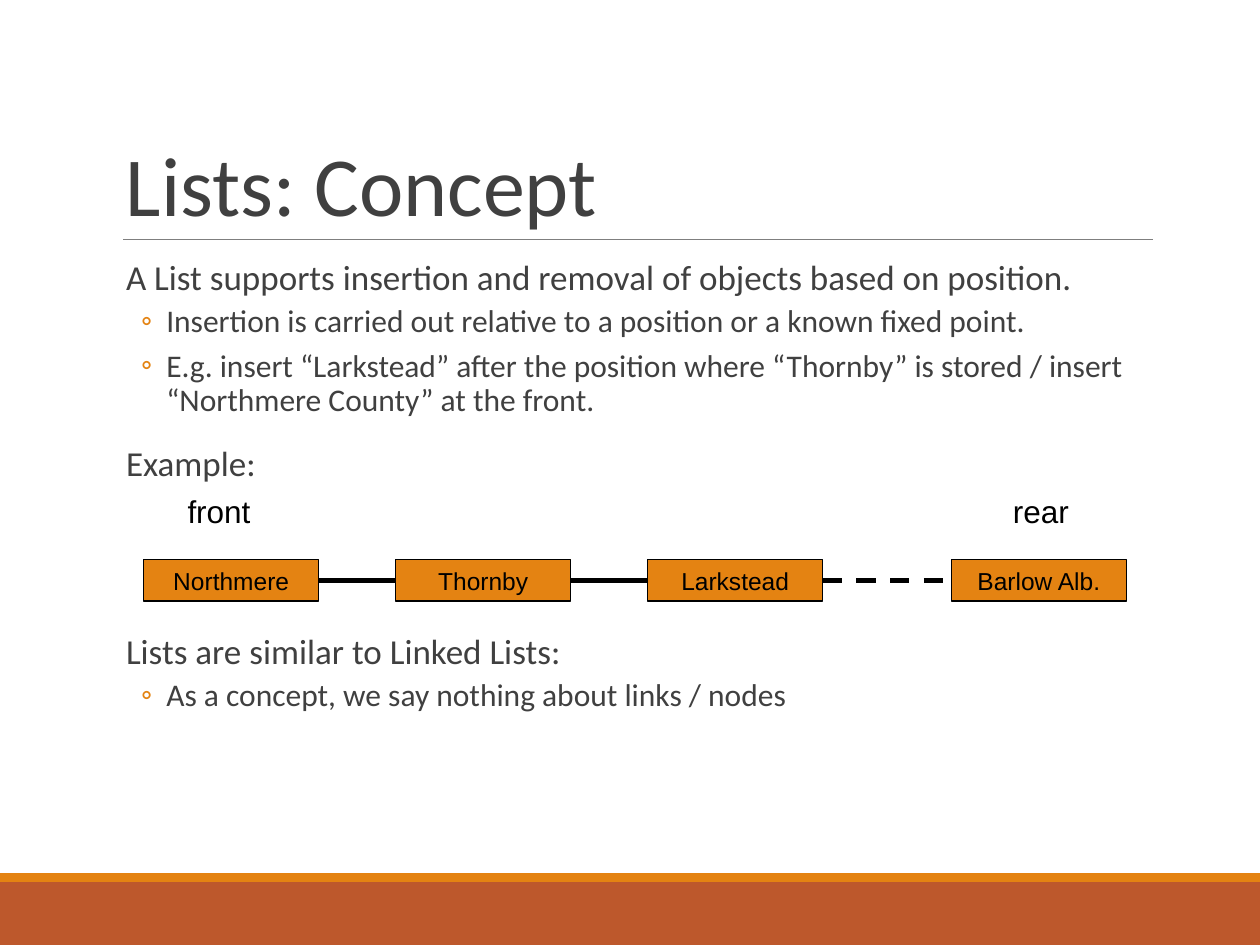
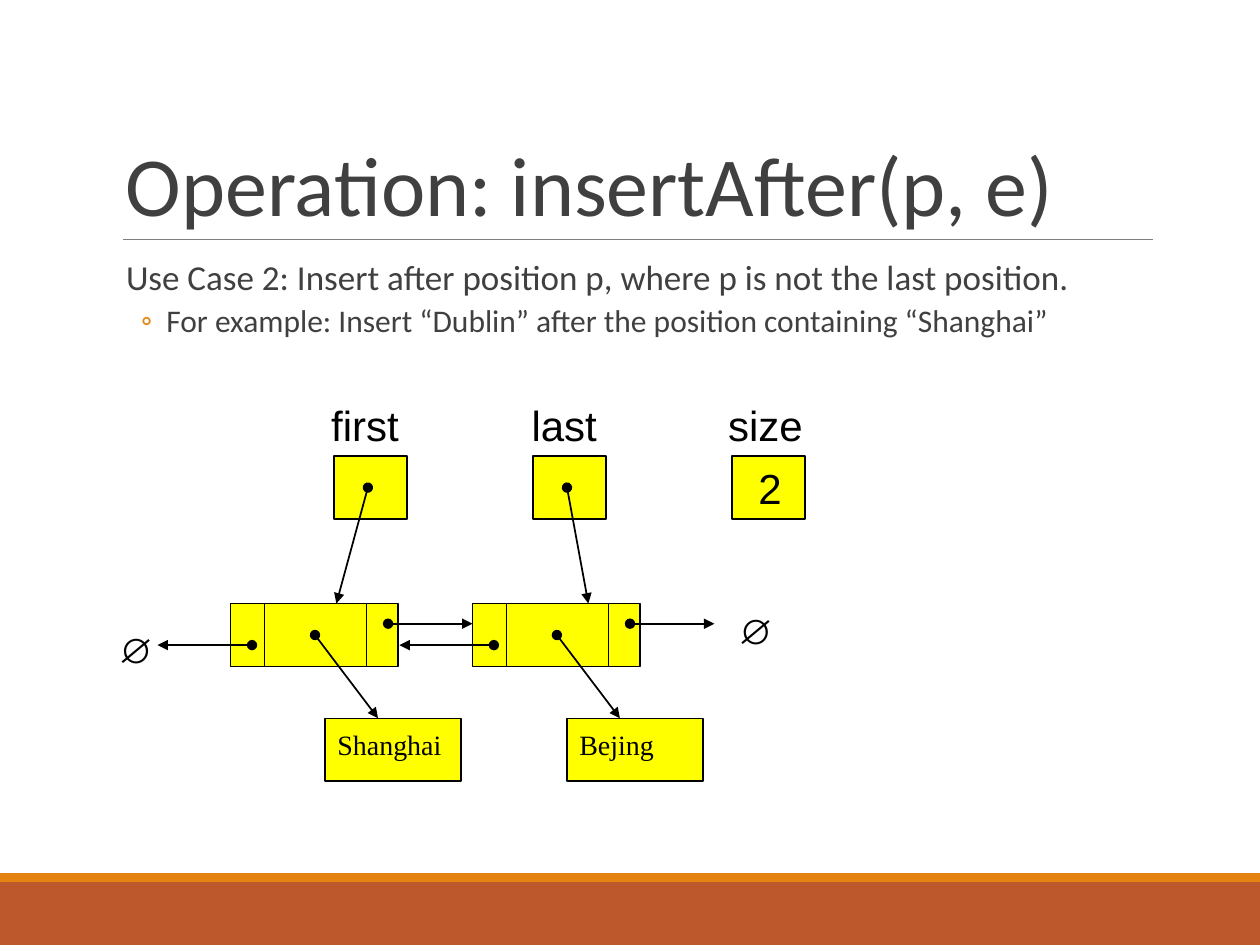
import pptx
import pptx.util
import pptx.dml.color
import pptx.enum.dml
import pptx.enum.shapes
import pptx.enum.text
import pptx.oxml
import pptx.oxml.ns

Inches, Pt = pptx.util.Inches, pptx.util.Pt
ALIGN, ANCHOR = pptx.enum.text.PP_ALIGN, pptx.enum.text.MSO_ANCHOR
KIND = pptx.enum.shapes.MSO_SHAPE.RECTANGLE
WIRE = pptx.enum.shapes.MSO_CONNECTOR.STRAIGHT
DASH = pptx.enum.dml.MSO_LINE.DASH

ORANGE, RUST, GREY, INK = "E48312", "BD582C", "7F7F7F", "404040"
BLACK, YELLOW = "000000", "FFFF00"

# Content: (level, text, extra space before)
LISTS = {
    "title": "Lists: Concept",
    "body": [
        (0, "A List supports insertion and removal of objects based on position.", 0),
        (1, "Insertion is carried out relative to a position or a known fixed point.", 0),
        (1, "E.g. insert “Larkstead” after the position where “Thornby” is stored"
            " / insert “Northmere County” at the front.", 0),
        (0, "Example:", 0),
        (0, "Lists are similar to Linked Lists:", 72),
        (1, "As a concept, we say nothing about links / nodes", 0),
    ],
}
CLUBS = [("Northmere", 1.14), ("Thornby", 3.14), ("Larkstead", 5.14), ("Barlow Alb.", 7.55)]
ENDS = [("front", 1.39, 0.76), ("rear", 7.94, 0.7)]

INSERT = {
    "title": "Operation: insertAfter(p, e)",
    "body": [
        (0, "Use Case 2: Insert after position p, where p is not the last position.", 0),
        (1, "For example: Insert “Dublin” after the position containing “Shanghai”", 0),
    ],
}
CITIES = ["Shanghai", "Bejing"]
FIELDS = [("first", 2.53, 0.85), ("last", 4.12, 0.85), ("size", 5.68, 0.9)]
HEADS = [(2.92, 2.67), (4.5, 4.67)]
NULLS = [(5.76, 4.79), (0.84, 4.94)]

# Formats
TITLE = {"size": Pt(48), "name": "Calibri", "color": INK}
LEVELS = [
    {"font": {"size": Pt(20), "name": "Calibri", "color": INK},
     "para": {"line_spacing": 0.9, "space_after": Pt(2)},
     "before": 12, "left": 0.1, "hang": 0, "mark": None},
    {"font": {"size": Pt(18), "name": "Calibri", "color": INK},
     "para": {"line_spacing": 0.9, "space_after": Pt(4)},
     "before": 2, "left": 0.42, "hang": -0.2, "mark": "◦"},
]


def arial(size):
    return {"size": Pt(size), "name": "Arial", "color": BLACK}


def rgb(text):
    return pptx.dml.color.RGBColor.from_string(text)


def apply(part, form):
    """Set each attribute named in form; a colour is a hex string."""
    for key, val in form.items():
        if key == "color":
            part.color.rgb = rgb(val)
        else:
            setattr(part, key, val)


def write(shape, text, font, para={}, frame={}):
    apply(shape.text_frame, frame)
    first = shape.text_frame.paragraphs[0]
    first.text = text
    apply(first, para)
    apply(first.runs[0].font, font)


def place(box):
    return [Inches(val) for val in box]


def rect(slide, box, fill, edge=None):
    shape = slide.shapes.add_shape(KIND, *place(box))
    shape.shadow.inherit = False
    shape.fill.solid()
    shape.fill.fore_color.rgb = rgb(fill)
    if edge:
        apply(shape.line, {"color": edge, "width": Pt(0.75)})
    else:
        shape.line.fill.background()
    return shape


def label(slide, box, text, font, para={}, frame={}):
    shape = slide.shapes.add_textbox(*place(box))
    write(shape, text, font, para, frame)


def line(slide, start, end, width, color=BLACK, dash=None):
    wire = slide.shapes.add_connector(WIRE, *place(start + end))
    apply(wire.line, {"color": color, "width": Pt(width), "dash_style": dash})
    wire._element.spPr.append(tag("effectLst"))
    return wire


def tag(name, **attrs):
    """Make an element of the drawing namespace."""
    space = pptx.oxml.ns.nsdecls("a")
    node = pptx.oxml.parse_xml(f"<a:{name} {space}/>")
    for key, val in attrs.items():
        node.set(key, val)
    return node


def arrow(slide, start, end):
    """Pointer with a dot at its start and a triangle at its end."""
    ends = line(slide, start, end, 1).line._get_or_add_ln()
    ends.append(tag("headEnd", type="oval"))
    ends.append(tag("tailEnd", type="triangle"))


def fill_body(slide, items):
    frame = slide.shapes.add_textbox(*place((0.9, 2.02, 8.25, 4.4))).text_frame
    apply(frame, {"word_wrap": True, "margin_left": 0, "margin_right": 0})
    for num, (level, text, extra) in enumerate(items):
        form = LEVELS[level]
        para = frame.add_paragraph() if num else frame.paragraphs[0]
        props = para._p.get_or_add_pPr()
        props.set("marL", str(Inches(form["left"])))
        props.set("indent", str(Inches(form["hang"])))
        if form["mark"]:
            color = tag("buClr")
            color.append(tag("srgbClr", val=ORANGE))
            props.append(color)
            props.append(tag("buFont", typeface="Calibri"))
            props.append(tag("buChar", char=form["mark"]))
        para.text = text
        apply(para, form["para"])
        if num:
            para.space_before = Pt(form["before"] + extra)
        apply(para.runs[0].font, form["font"])


def start(deck, page):
    """Add a slide with the shared bands, rule, title and body text."""
    slide = deck.slides.add_slide(deck.slide_layouts[6])
    rect(slide, (0, 7, 10, 0.5), RUST)
    rect(slide, (0, 6.93, 10, 0.07), ORANGE)
    line(slide, (0.98, 1.9), (9.15, 1.9), 0.5, GREY)
    label(slide, (0.9, 0.31, 8.25, 1.59), page["title"], TITLE, {"line_spacing": 0.85},
          {"word_wrap": True, "vertical_anchor": ANCHOR.BOTTOM})
    fill_body(slide, page["body"])
    return slide


def draw_chain(slide):
    wide, mid = 1.39, 4.61
    for name, left in CLUBS:
        shape = rect(slide, (left, 4.44, wide, 0.33), ORANGE, BLACK)
        write(shape, name, arial(14), {"alignment": ALIGN.CENTER},
              {"vertical_anchor": ANCHOR.MIDDLE})
    for (_, left), (name, right) in zip(CLUBS, CLUBS[1:]):
        dash = DASH if name == CLUBS[-1][0] else None
        line(slide, (left + wide, mid), (right, mid), 2.75, dash=dash)
    for name, left, span in ENDS:
        label(slide, (left, 3.86, span, 0.4), name, arial(18), frame={"word_wrap": False})


def draw_node(slide, left, city):
    """Draw a list node with its pointers and the city it holds."""
    top, high = 4.79, 0.5
    rect(slide, (left, top, 1.33, high), YELLOW, BLACK)
    for gap in (0.27, 1.08):
        line(slide, (left + gap, top), (left + gap, top + high), 0.75)
    arrow(slide, (left + 0.67, 5.04), (left + 1.17, 5.7))
    box = rect(slide, (left + 0.75, 5.7, 1.08, high), YELLOW, BLACK)
    write(box, city, {"size": Pt(16), "name": "Times New Roman", "color": BLACK},
          {"line_spacing": 0.6, "alignment": ALIGN.LEFT},
          {"word_wrap": False, "vertical_anchor": ANCHOR.MIDDLE})
    arrow(slide, (left + 1.25, 4.95), (left + 1.92, 4.95))
    arrow(slide, (left + 0.17, 5.12), (left - 0.58, 5.12))


def draw_links(slide):
    for num, city in reversed(list(enumerate(CITIES))):
        draw_node(slide, 1.83 + 1.92 * num, city)
    for num, (name, left, span) in enumerate(FIELDS):
        rect(slide, (2.65 + 1.58 * num, 3.62, 0.58, 0.5), YELLOW, BLACK)
        label(slide, (left, 3.12, span, 0.5), name, arial(24), frame={"word_wrap": False})
    label(slide, (5.92, 3.62, 0.58, 0.5), str(len(CITIES)), arial(24),
          frame={"word_wrap": True})
    for left, end in HEADS:
        arrow(slide, (left, 3.87), (end, 4.79))
    for left, top in NULLS:
        label(slide, (left, top, 0.42, 0.44), "∅", arial(20), frame={"word_wrap": False})


def main():
    deck = pptx.Presentation()
    apply(deck, {"slide_width": Inches(10), "slide_height": Inches(7.5)})
    draw_chain(start(deck, LISTS))
    draw_links(start(deck, INSERT))
    deck.save("out.pptx")


if __name__ == "__main__":
    main()
